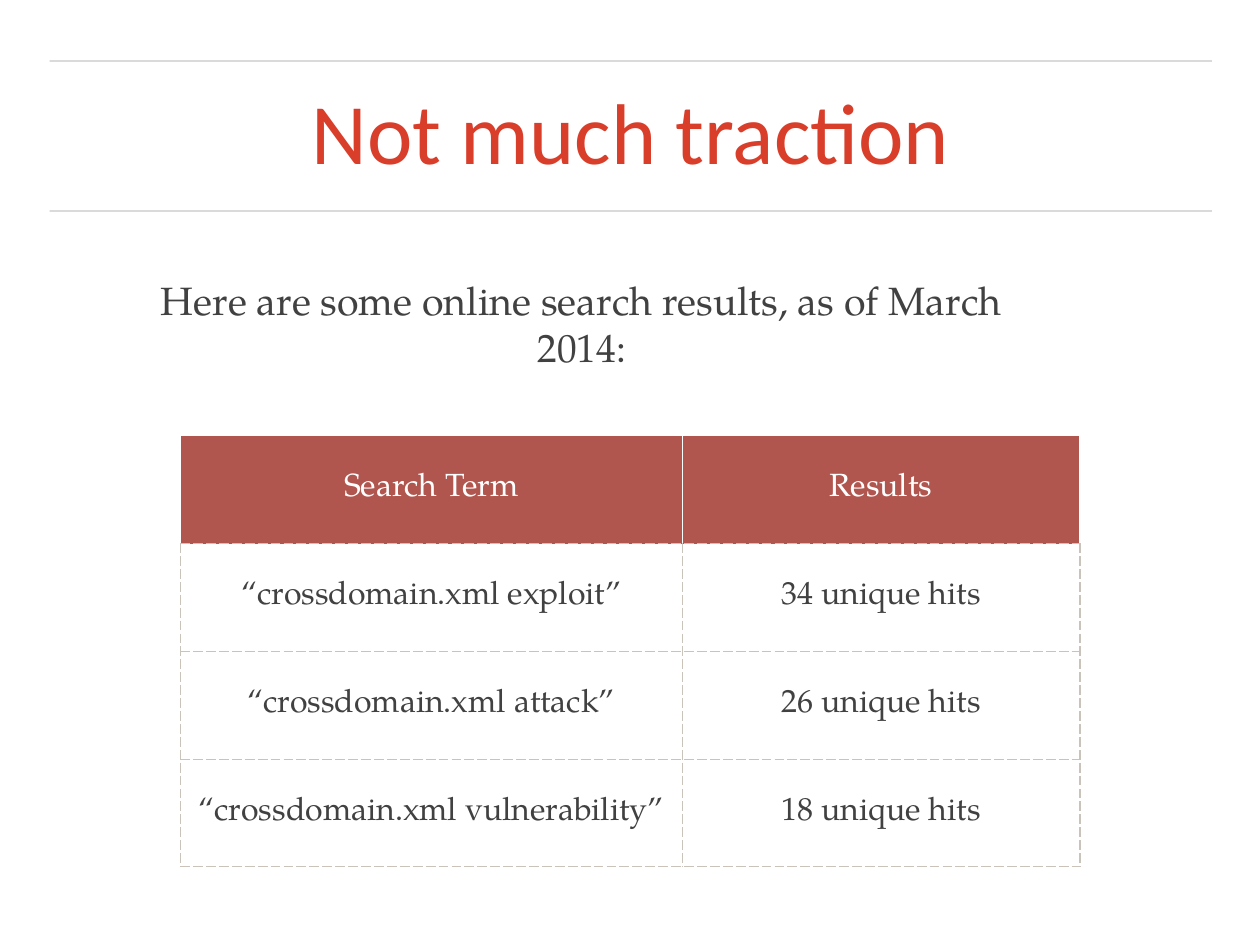
from dataclasses import dataclass

import pptx
import pptx.dml.color
import pptx.enum.dml
import pptx.enum.shapes
import pptx.enum.text
import pptx.oxml
import pptx.oxml.ns
import pptx.util
from pptx.util import Cm

COLOURS = {
    "title": "D93E2B",
    "body": "414141",
    "rule": "444444",
    "header_fill": "B0564E",
    "header_text": "FFFFFF",
    "border": "C9C3BA",
}
TITLE_FONT = "Calibri"
BODY_FONT = "TeX Gyre Pagella"
SLIDE_WIDTH, SLIDE_HEIGHT = 36.12, 27.1
RULE_LEFT, RULE_WIDTH = 1.42, 33.32
RULE_TOPS = (1.75, 6.05)
INSET = 0.15
COLUMN_WIDTHS = (14.38, 11.4)
ROW_HEIGHT = 3.09


@dataclass(frozen=True)
class TextStyle:
    font: str
    size: float
    colour: str


@dataclass(frozen=True)
class SearchResult:
    term: str
    hits: str


TITLE = TextStyle(TITLE_FONT, 70, "title")
INTRO = TextStyle(BODY_FONT, 32, "body")
HEADER_CELL = TextStyle(BODY_FONT, 26, "header_text")
BODY_CELL = TextStyle(BODY_FONT, 26, "body")

HEADER = SearchResult("Search Term", "Results")
RESULTS = (
    SearchResult("“crossdomain.xml exploit”", "34 unique hits"),
    SearchResult("“crossdomain.xml attack”", "26 unique hits"),
    SearchResult("“crossdomain.xml vulnerability”", "18 unique hits"),
)


def colour(name: str) -> pptx.dml.color.RGBColor:
    return pptx.dml.color.RGBColor.from_string(COLOURS[name])


def write_text(text_frame, text: str, style: TextStyle) -> None:
    """Write one centred paragraph."""
    paragraph = text_frame.paragraphs[0]
    paragraph.alignment = pptx.enum.text.PP_ALIGN.CENTER
    run = paragraph.add_run()
    run.text = text
    run.font.name = style.font
    run.font.size = pptx.util.Pt(style.size)
    run.font.color.rgb = colour(style.colour)


def set_frame(text_frame, inset: float) -> None:
    text_frame.word_wrap = True
    text_frame.auto_size = pptx.enum.text.MSO_AUTO_SIZE.NONE
    text_frame.vertical_anchor = pptx.enum.text.MSO_ANCHOR.MIDDLE
    text_frame.margin_left = text_frame.margin_right = Cm(inset)
    text_frame.margin_top = text_frame.margin_bottom = Cm(inset)


def add_rule(slide, top: float) -> None:
    """Draw a thin, translucent horizontal line."""
    rule = slide.shapes.add_connector(
        pptx.enum.shapes.MSO_CONNECTOR.STRAIGHT,
        Cm(RULE_LEFT), Cm(top), Cm(RULE_LEFT + RULE_WIDTH), Cm(top),
    )
    rule.line.width = pptx.util.Pt(1)
    rule.line.color.rgb = colour("rule")
    properties = rule._element.spPr
    rgb = properties.find(".//" + pptx.oxml.ns.qn("a:srgbClr"))
    pptx.oxml.ns.qn("a:alpha")
    alpha = rgb.makeelement(pptx.oxml.ns.qn("a:alpha"), {"val": "30000"})
    rgb.append(alpha)
    properties.append(properties.makeelement(pptx.oxml.ns.qn("a:effectLst"), {}))


def add_dashed_borders(cell) -> None:
    """Outline a cell; borders come before the fill in its properties."""
    properties = cell._tc.get_or_add_tcPr()
    for position, side in enumerate(("lnL", "lnR", "lnT", "lnB")):
        border = pptx.oxml.parse_xml(
            f'<a:{side} {pptx.oxml.ns.nsdecls("a")} w="{pptx.util.Pt(1)}">'
            f'<a:solidFill><a:srgbClr val="{COLOURS["border"]}"/></a:solidFill>'
            f'<a:prstDash val="dash"/></a:{side}>'
        )
        properties.insert(position, border)


def fill_cell(cell, text: str, is_header: bool) -> None:
    cell.vertical_anchor = pptx.enum.text.MSO_ANCHOR.MIDDLE
    cell.margin_left = cell.margin_right = Cm(INSET)
    cell.margin_top = cell.margin_bottom = Cm(INSET)
    write_text(cell.text_frame, text, HEADER_CELL if is_header else BODY_CELL)
    if is_header:
        cell.fill.solid()
        cell.fill.fore_color.rgb = colour("header_fill")
    else:
        cell.fill.background()
        add_dashed_borders(cell)


def add_results_table(slide) -> None:
    rows = (HEADER, *RESULTS)
    table = slide.shapes.add_table(
        len(rows), len(COLUMN_WIDTHS), Cm(5.18), Cm(12.5),
        Cm(sum(COLUMN_WIDTHS)), Cm(ROW_HEIGHT * len(rows)),
    ).table
    table.horz_banding = False
    for column, width in zip(table.columns, COLUMN_WIDTHS):
        column.width = Cm(width)
    for row_index, result in enumerate(rows):
        table.rows[row_index].height = Cm(ROW_HEIGHT)
        for column_index, text in enumerate((result.term, result.hits)):
            fill_cell(table.cell(row_index, column_index), text, row_index == 0)


def main() -> None:
    presentation = pptx.Presentation()
    presentation.slide_width = Cm(SLIDE_WIDTH)
    presentation.slide_height = Cm(SLIDE_HEIGHT)
    slide = presentation.slides.add_slide(presentation.slide_layouts[5])

    # Rules above and below the title
    for top in RULE_TOPS:
        add_rule(slide, top)

    # Title
    title = slide.shapes.title
    title.left, title.top = Cm(RULE_LEFT), Cm(2.24)
    title.width, title.height = Cm(RULE_WIDTH), Cm(3.38)
    set_frame(title.text_frame, 0)
    write_text(title.text_frame, "Not much traction", TITLE)
    title.text_frame.paragraphs[0].line_spacing = 0.9

    # Search results
    add_results_table(slide)

    # Introduction
    intro = slide.shapes.add_textbox(Cm(4.1), Cm(7.75), Cm(25.15), Cm(3.05))
    set_frame(intro.text_frame, INSET)
    write_text(
        intro.text_frame,
        "Here are some online search results, as of March 2014:",
        INTRO,
    )

    presentation.save("out.pptx")


if __name__ == "__main__":
    main()
